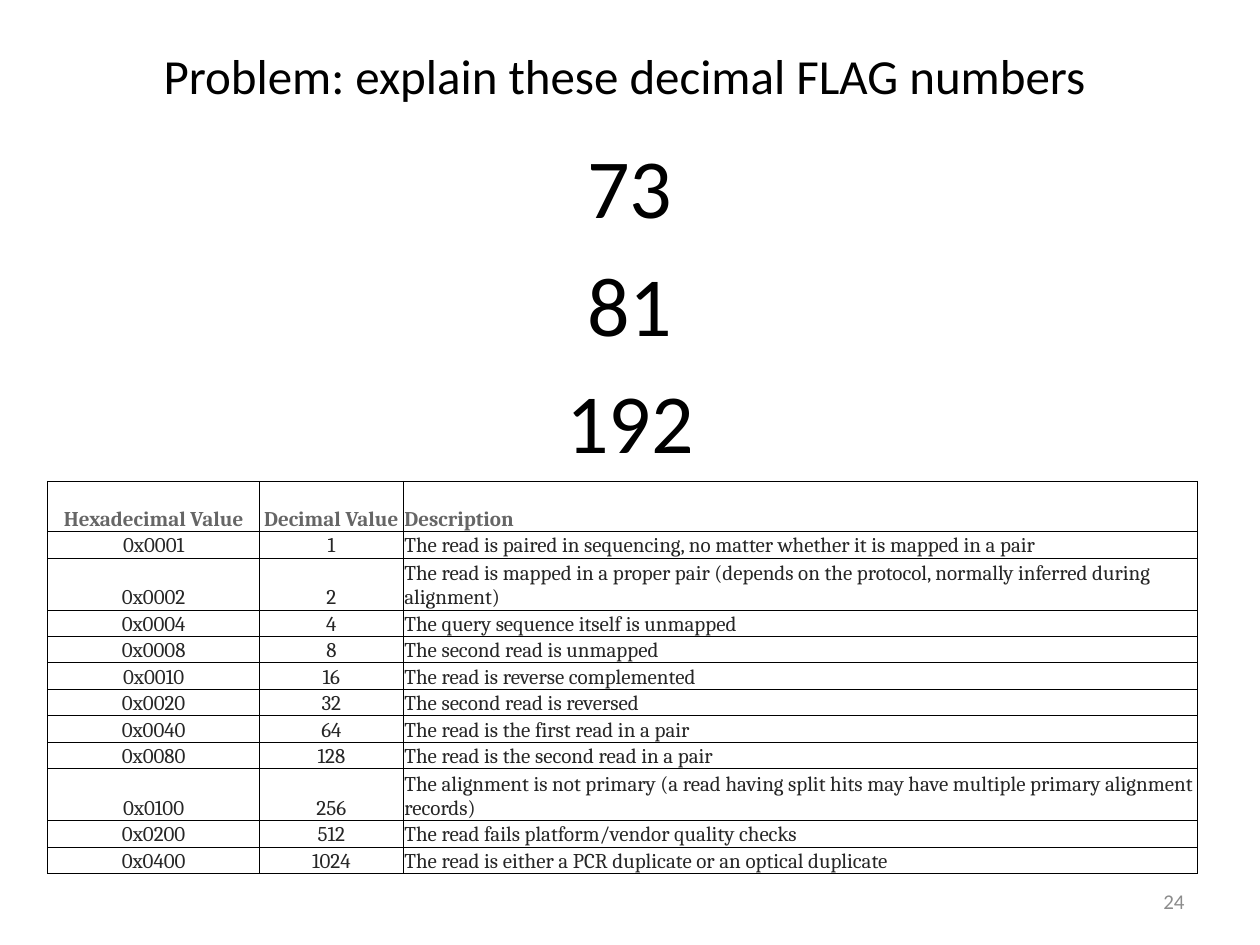
"""Build a slide that asks for decimal FLAG numbers to be explained from a bit table."""
from lxml import etree
from pptx import Presentation
from pptx.dml.color import RGBColor
from pptx.enum import text
from pptx.oxml import ns
from pptx.util import Inches, Pt

COLORS = {"black": "000000", "header": "666666", "cell": "262626", "number": "8C8C8C"}
TITLE = "Problem: explain these decimal FLAG numbers "
FLAGS = ["73", "81", "192"]
PAGE = "24"
HEADERS = ["Hexadecimal Value", "Decimal Value", "Description"]
DESCRIPTIONS = [
    "The read is paired in sequencing, no matter whether it is mapped in a pair",
    "The read is mapped in a proper pair (depends on the protocol, normally inferred during alignment)",
    "The query sequence itself is unmapped",
    "The second read is unmapped",
    "The read is reverse complemented",
    "The second read is reversed",
    "The read is the first read in a pair",
    "The read is the second read in a pair",
    "The alignment is not primary (a read having split hits may have multiple primary alignment records)",
    "The read fails platform/vendor quality checks",
    "The read is either a PCR duplicate or an optical duplicate",
]
COLUMN_WIDTHS = [1.68, 1.14, 6.3]
TALL_ROWS = {0, 2, 9}
TALL, SHORT = 0.4, 0.21
LEFT, CENTER, RIGHT = text.PP_ALIGN.LEFT, text.PP_ALIGN.CENTER, text.PP_ALIGN.RIGHT
TOP, MIDDLE, BOTTOM = text.MSO_ANCHOR.TOP, text.MSO_ANCHOR.MIDDLE, text.MSO_ANCHOR.BOTTOM


def write(frame, lines, size, color, font="Calibri", bold=False, align=CENTER, gap=0):
    for index, line in enumerate(lines):
        paragraph = frame.add_paragraph() if index else frame.paragraphs[0]
        paragraph.alignment = align
        paragraph.space_before = Pt(gap if index else 0)
        run = paragraph.add_run()
        run.text = line
        run.font.name = font
        run.font.size = Pt(size)
        run.font.bold = bold
        run.font.color.rgb = RGBColor.from_string(COLORS[color])


def add_text(slide, box, lines, anchor=MIDDLE, **style):
    frame = slide.shapes.add_textbox(*map(Inches, box)).text_frame
    frame.word_wrap = True
    frame.vertical_anchor = anchor
    write(frame, lines, **style)


def add_borders(cell):
    properties = cell._tc.get_or_add_tcPr()
    for index, side in enumerate(("lnL", "lnR", "lnT", "lnB")):
        line = etree.Element(ns.qn(f"a:{side}"), w=str(Pt(0.5)))
        fill = etree.SubElement(line, ns.qn("a:solidFill"))
        etree.SubElement(fill, ns.qn("a:srgbClr"), val=COLORS["black"])
        properties.insert(index, line)


def add_flag_table(slide):
    rows = [HEADERS] + [
        [f"0x{1 << bit:04x}", str(1 << bit), description]
        for bit, description in enumerate(DESCRIPTIONS)
    ]
    heights = [TALL if index in TALL_ROWS else SHORT for index in range(len(rows))]
    box = (0.38, 3.82, sum(COLUMN_WIDTHS), sum(heights))
    table = slide.shapes.add_table(len(rows), len(HEADERS), *map(Inches, box)).table
    table.first_row = table.horz_banding = False
    for column, width in zip(table.columns, COLUMN_WIDTHS):
        column.width = Inches(width)
    for row_index, (values, height) in enumerate(zip(rows, heights)):
        table.rows[row_index].height = Inches(height)
        is_header = row_index == 0
        for column_index, value in enumerate(values):
            cell = table.cell(row_index, column_index)
            cell.fill.background()
            cell.vertical_anchor = BOTTOM
            cell.margin_left = cell.margin_right = cell.margin_top = Inches(0.01)
            cell.margin_bottom = 0
            add_borders(cell)
            write(cell.text_frame, [value], size=12, font="Cambria", bold=is_header,
                  color="header" if is_header else "cell",
                  align=LEFT if column_index == 2 else CENTER)


def main():
    presentation = Presentation()
    presentation.slide_width, presentation.slide_height = Inches(10), Inches(7.5)
    slide = presentation.slides.add_slide(presentation.slide_layouts[6])
    add_text(slide, (0.5, 0.17, 9, 0.85), [TITLE], size=28, color="black")
    add_text(slide, (0.5, 1.02, 9, 2.69), FLAGS, anchor=TOP, size=48, color="black", gap=9.6)
    add_text(slide, (7.17, 6.95, 2.33, 0.4), [PAGE], size=12, color="number", align=RIGHT)
    add_flag_table(slide)
    presentation.save("out.pptx")


if __name__ == "__main__":
    main()
